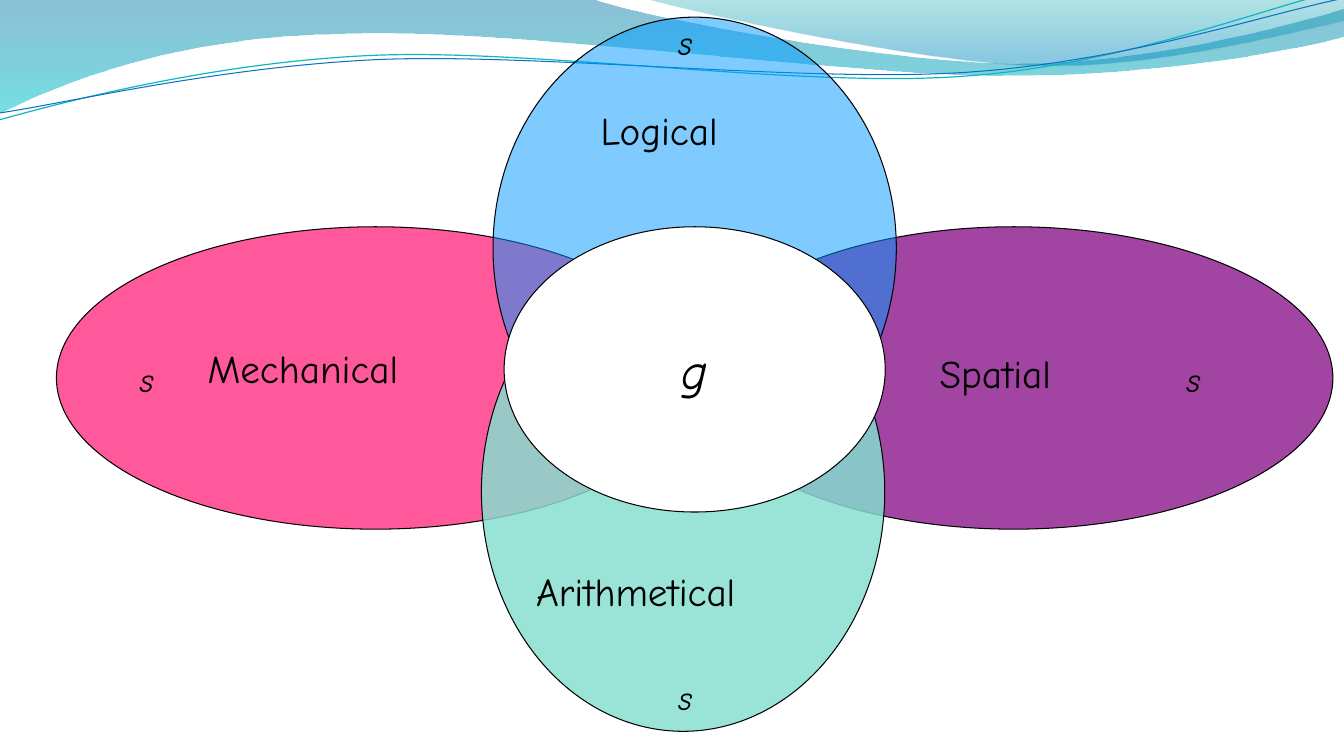
from math import cos, radians, sin
from typing import NamedTuple

from lxml import etree
from pptx import Presentation
from pptx.dml.color import RGBColor
from pptx.enum.shapes import MSO_SHAPE
from pptx.enum.text import MSO_ANCHOR, MSO_AUTO_SIZE, PP_ALIGN
from pptx.oxml.ns import qn
from pptx.util import Inches, Pt

ELLIPSE = MSO_SHAPE.OVAL
MIDDLE = MSO_ANCHOR.MIDDLE
CENTER = PP_ALIGN.CENTER
FIT_TEXT = MSO_AUTO_SIZE.SHAPE_TO_FIT_TEXT

BLACK = RGBColor(0x00, 0x00, 0x00)
WHITE = RGBColor(0xFF, 0xFF, 0xFF)
PINK = RGBColor(0xFF, 0x00, 0x66)
PURPLE = RGBColor(0x80, 0x00, 0x80)
BLUE = RGBColor(0x00, 0x99, 0xFF)
MINT = RGBColor(0x85, 0xDF, 0xD0)
DEEP_BLUE = RGBColor(0x00, 0x74, 0xA1)
CYAN = RGBColor(0x00, 0xC6, 0xCF)
TEAL = RGBColor(0x00, 0xA1, 0xA9)
SKY = RGBColor(0x00, 0x8B, 0xBF)
TEAL_LINE = RGBColor(0x0A, 0xB8, 0xBF)
BLUE_LINE = RGBColor(0x0F, 0x6F, 0xC6)

FONT = "Comic Neue"
STRAND_ROTATION = 357.3

Point = tuple[float, float]


class Frame(NamedTuple):
    left: float
    top: float
    width: float
    height: float


class Stop(NamedTuple):
    position: float
    color: RGBColor
    opacity: int


class Wave(NamedTuple):
    """Segments hold one point for a straight line, three for a Bezier curve."""
    frame: Frame
    segments: list[list[Point]]
    stops: list[Stop]


class Strand(NamedTuple):
    frame: Frame
    segments: list[list[Point]]
    color: RGBColor
    width: float


class Oval(NamedTuple):
    frame: Frame
    color: RGBColor
    opacity: int
    rotation: int = 0


class Label(NamedTuple):
    text: str
    frame: Frame


WAVES = [
    Wave(Frame(-0.01, -0.01, 13.36, 1.14), [
        [(0, 0)],
        [(5.87, -0.01)],
        [(6.34, 0.17), (8.85, 0.63), (10.11, 0.63)],
        [(11.38, 0.63), (12.78, 0.26), (13.33, 0.09)],
        [(13.35, 0.36)],
        [(13.11, 0.44), (11.6, 0.76), (9.94, 0.75)],
        [(8.29, 0.75), (5.09, 0.28), (3.43, 0.34)],
        [(1.72, 0.36), (0.61, 0.83), (-0.01, 1.13)],
        [(0, 0)],
    ], [Stop(0, DEEP_BLUE, 45), Stop(1, CYAN, 55)]),
    Wave(Frame(6.39, -0.01, 6.94, 0.7), [
        [(6.39, -0.01)],
        [(6.79, 0.11), (9.09, 0.62), (10.25, 0.65)],
        [(11.41, 0.69), (12.82, 0.32), (13.33, 0.21)],
        [(13.33, 0)],
        [(6.39, -0.01)],
    ], [Stop(0, TEAL, 30), Stop(0.8, SKY, 45)]),
]
STRANDS = [
    Strand(Frame(-0.03, 0.22, 13.36, 0.71), [
        [(-0.01, 1.19)],
        [(0.64, 1.01), (2.11, 0.62), (3.69, 0.55)],
        [(5.27, 0.48), (7.9, 0.87), (9.5, 0.76)],
        [(11.1, 0.66), (12.52, 0.08), (13.31, -0.1)],
    ], TEAL_LINE, 0.85),
    Strand(Frame(-0.02, 0.3, 13.38, 0.58), [
        [(0, 1.12)],
        [(0.63, 1.03), (2.18, 0.66), (3.78, 0.59)],
        [(5.37, 0.53), (7.96, 0.82), (9.55, 0.72)],
        [(11.15, 0.62), (12.55, 0.14), (13.34, -0.02)],
    ], BLUE_LINE, 0.75),
]
ABILITIES = [
    Oval(Frame(0.56, 2.25, 6.33, 3), PINK, 65),
    Oval(Frame(6.89, 2.25, 6.33, 3), PURPLE, 73),
    Oval(Frame(4.6, 0.46, 4.58, 4), BLUE, 50, 270),
    Oval(Frame(4.4, 2.88, 4.75, 4), MINT, 83, 270),
]
GENERAL = Oval(Frame(5, 2.25, 3.78, 2.83), WHITE, 100)
NAMES = [
    Label("Logical", Frame(5.86, 1.01, 1.45, 0.57)),
    Label("Mechanical", Frame(1.96, 3.37, 2.22, 0.57)),
    Label("Arithmetical", Frame(5.22, 5.58, 2.53, 0.57)),
    Label("Spatial", Frame(9.22, 3.42, 1.49, 0.57)),
]
SPECIFICS = [
    Label("s", Frame(left, top, 0.36, 0.5))
    for left, top in [(6.63, 0.17), (1.29, 3.51), (11.67, 3.51), (6.63, 6.67)]
]


def inside(frame: Frame, point: Point, rotation: float) -> Point:
    """Place a page point within a frame, before the frame is rotated."""
    angle = radians(-rotation)
    x = point[0] - frame.left - frame.width / 2
    y = point[1] - frame.top - frame.height / 2
    return (x * cos(angle) - y * sin(angle) + frame.width / 2,
            x * sin(angle) + y * cos(angle) + frame.height / 2)


def draw_outline(page, frame: Frame, segments: list[list[Point]], closed: bool, rotation: float = 0):
    """Draw a freeform whose three-point segments are cubic curves."""
    ends = [(Inches(x), Inches(y)) for x, y in (segment[-1] for segment in segments)]
    builder = page.shapes.build_freeform(*ends[0], scale=1.0)
    builder.add_line_segments(ends[1:], close=closed)
    shape = builder.convert_to_shape()
    shape.shadow.inherit = False
    shape.rotation = rotation
    for name, value in frame._asdict().items():
        setattr(shape, name, Inches(value))
    outline = next(shape._element.iter(qn("a:path")))
    outline.set("w", str(shape.width))
    outline.set("h", str(shape.height))
    for step, segment in zip(list(outline), segments):
        if len(segment) == 3:
            step.tag = qn("a:cubicBezTo")
        for corner in list(step):
            step.remove(corner)
        for point in segment:
            x, y = inside(frame, point, rotation)
            etree.SubElement(step, qn("a:pt"), x=str(Inches(x)), y=str(Inches(y)))
    return shape


def set_opacity(shape, fill_tag: str, opacities: list[int]) -> None:
    fill = shape._element.spPr.find(qn(fill_tag))
    for color, opacity in zip(fill.iter(qn("a:srgbClr")), opacities):
        if opacity < 100:
            etree.SubElement(color, qn("a:alpha"), val=str(opacity * 1000))


def draw_wave(page, wave: Wave) -> None:
    shape = draw_outline(page, wave.frame, wave.segments, True)
    shape.line.fill.background()
    shape.fill.gradient()
    shape.fill.gradient_angle = 270
    for gradient_stop, stop in zip(shape.fill.gradient_stops, wave.stops):
        gradient_stop.position = stop.position
        gradient_stop.color.rgb = stop.color
    set_opacity(shape, "a:gradFill", [stop.opacity for stop in wave.stops])


def set_line(shape, color: RGBColor, width: float) -> None:
    shape.line.color.rgb = color
    shape.line.width = Pt(width)


def draw_strand(page, strand: Strand) -> None:
    shape = draw_outline(page, strand.frame, strand.segments, False, STRAND_ROTATION)
    shape.fill.background()
    set_line(shape, strand.color, strand.width)


def draw_oval(page, oval: Oval):
    shape = page.shapes.add_shape(ELLIPSE, *map(Inches, oval.frame))
    shape.shadow.inherit = False
    shape.rotation = oval.rotation
    shape.fill.solid()
    shape.fill.fore_color.rgb = oval.color
    set_opacity(shape, "a:solidFill", [oval.opacity])
    set_line(shape, BLACK, 0.75)
    return shape


def write(shape, text: str, size: int, italic: bool) -> None:
    shape.text_frame.word_wrap = False
    span = shape.text_frame.paragraphs[0].add_run()
    span.text = text
    span.font.color.rgb = BLACK
    for name, value in {"name": FONT, "size": Pt(size), "italic": italic}.items():
        setattr(span.font, name, value)


def draw_label(page, label: Label, size: int, italic: bool) -> None:
    box = page.shapes.add_textbox(*map(Inches, label.frame))
    box.text_frame.auto_size = FIT_TEXT
    write(box, label.text, size, italic)


def main() -> None:
    deck = Presentation()
    deck.slide_width, deck.slide_height = Inches(13.33), Inches(7.5)
    page = deck.slides.add_slide(deck.slide_layouts[6])
    for wave in WAVES:
        draw_wave(page, wave)
    for strand in STRANDS:
        draw_strand(page, strand)
    for ability in ABILITIES:
        draw_oval(page, ability)
    general = draw_oval(page, GENERAL)
    write(general, "g", 36, True)
    general.text_frame.vertical_anchor = MIDDLE
    general.text_frame.paragraphs[0].alignment = CENTER
    for label in NAMES:
        draw_label(page, label, 28, False)
    for label in SPECIFICS:
        draw_label(page, label, 24, True)
    deck.save("out.pptx")


if __name__ == "__main__":
    main()
